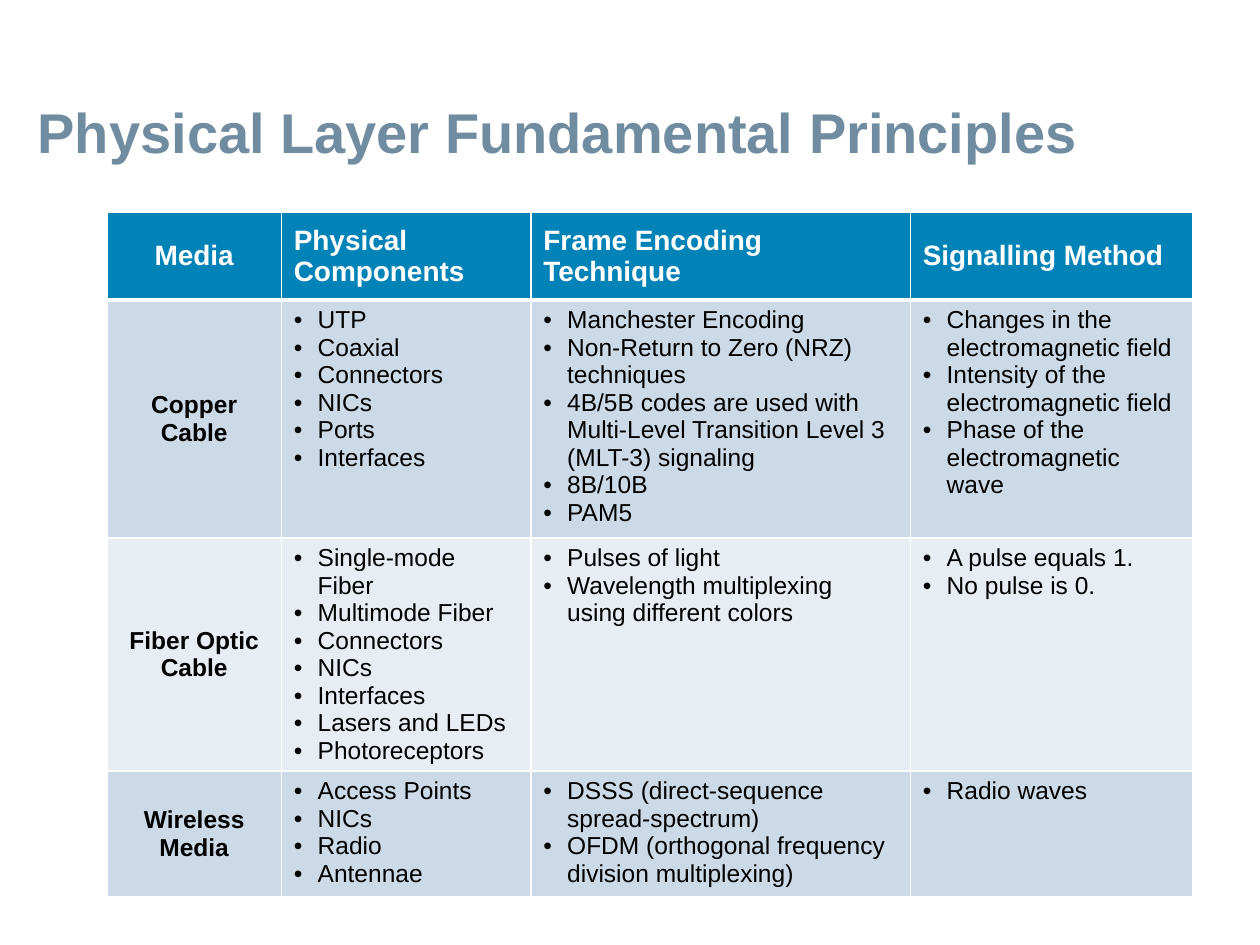
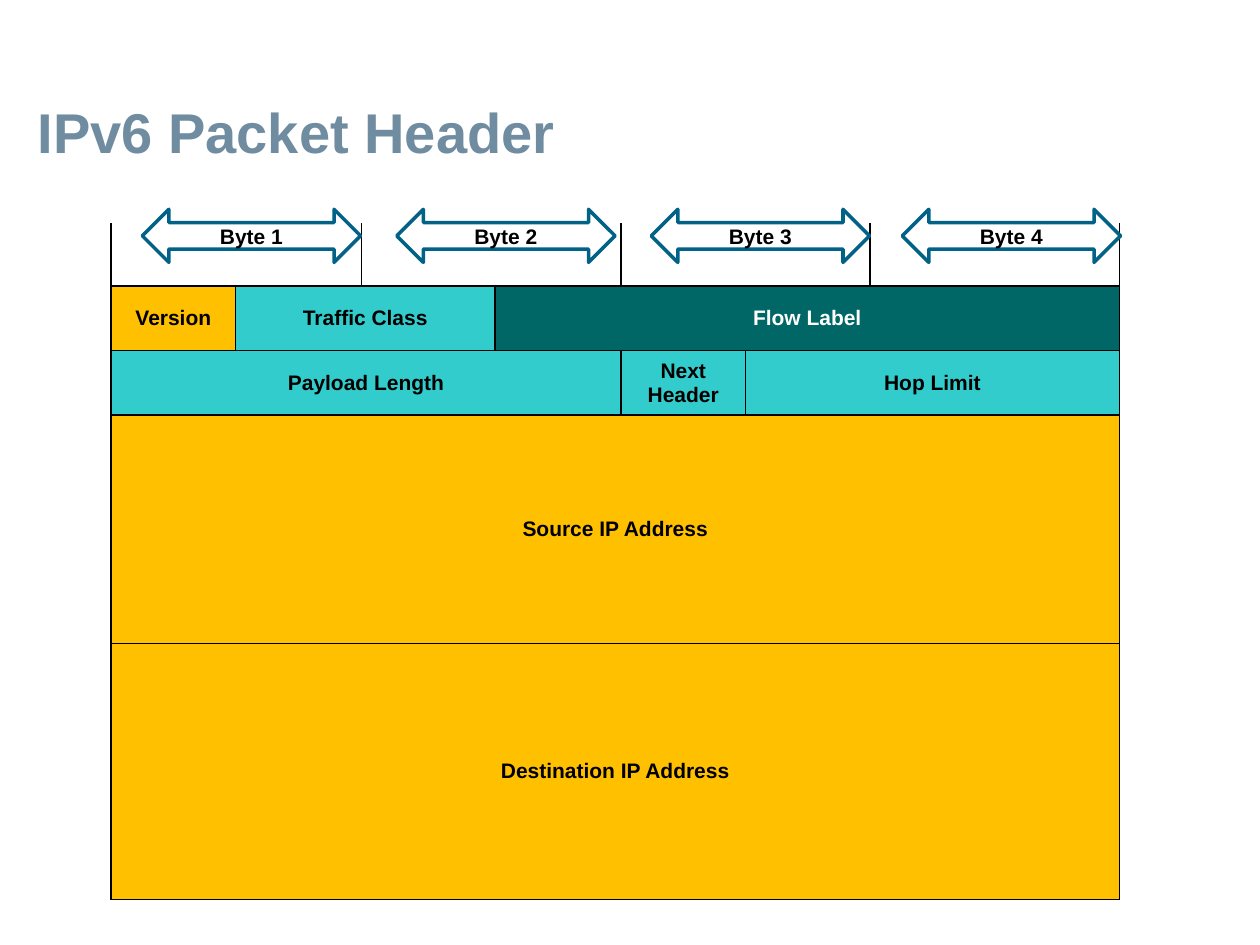
from pptx import Presentation
from pptx import util as u
from pptx.dml import color as dml
from pptx.enum import shapes, text
from pptx.oxml import parse_xml
from pptx.oxml import ns

FONT = "Arial"
HUES = {
    "title": "708CA1", "head": "0183B7", "dark": "CCD9E6", "light": "E7EDF3",
    "white": "FFFFFF", "black": "000000", "gold": "FFC000", "aqua": "33CCCC",
    "teal": "006666", "edge": "016187",
}

MEDIA = {
    "title": "Physical Layer Fundamental Principles",
    "at": (2.16, 4.27),
    "cols": [3.51, 5.03, 7.65, 5.69],
    "rows": [1.78, 4.8, 4.24, 2.54],
    "heads": ["Media", "Physical Components", "Frame Encoding Technique", "Signalling Method"],
    "body": [
        ("Copper Cable", [
            ["UTP", "Coaxial", "Connectors", "NICs", "Ports", "Interfaces"],
            ["Manchester Encoding", "Non-Return to Zero (NRZ) techniques",
             "4B/5B codes are used with Multi-Level Transition Level 3 (MLT-3) signaling",
             "8B/10B", "PAM5"],
            ["Changes in the electromagnetic field", "Intensity of the electromagnetic field",
             "Phase of the electromagnetic wave"],
        ]),
        ("Fiber Optic Cable", [
            ["Single-mode Fiber", "Multimode Fiber", "Connectors", "NICs", "Interfaces",
             "Lasers and LEDs", "Photoreceptors"],
            ["Pulses of light", "Wavelength multiplexing using different colors"],
            ["A pulse equals 1.", "No pulse is 0."],
        ]),
        ("Wireless Media", [
            ["Access Points", "NICs", "Radio", "Antennae"],
            ["DSSS (direct-sequence spread-spectrum)",
             "OFDM (orthogonal frequency division multiplexing)"],
            ["Radio waves"],
        ]),
    ],
}

PACKET = {
    "title": "IPv6 Packet Header",
    "at": (2.24, 4.5),
    "cols": [2.51, 2.54, 2.69, 2.54, 2.51, 2.51, 5.03],
    "rows": [1.27, 1.3, 1.3, 4.6, 5.16],
    "fields": [
        [("", 2, None), ("", 2, None), ("", 2, None), ("", 1, None)],
        [("Version", 1, "gold"), ("Traffic Class", 2, "aqua"), ("Flow Label", 4, "teal")],
        [("Payload Length", 4, "aqua"), ("Next Header", 1, "aqua"), ("Hop Limit", 2, "aqua")],
        [("Source IP Address", 7, "gold")],
        [("Destination IP Address", 7, "gold")],
    ],
    "bytes": [("Byte 1", 2.87), ("Byte 2", 8), ("Byte 3", 13.13), ("Byte 4", 18.19)],
}


def tint(key):
    return dml.RGBColor.from_string(HUES[key])


def write(para, words, size, hue, bold=True, align=None):
    para.alignment = align
    run = para.add_run()
    run.text = words
    run.font.name = FONT
    run.font.size = u.Pt(size)
    run.font.bold = bold
    run.font.color.rgb = tint(hue)


def center(para, words, size, hue):
    write(para, words, size, hue, align=text.PP_ALIGN.CENTER)


def bullet(para):
    props = para._p.get_or_add_pPr()
    gap = u.Cm(0.48)
    props.set("marL", str(gap))
    props.set("indent", str(-gap))
    props.append(parse_xml(f'<a:buFont {ns.nsdecls("a")} typeface="{FONT}"/>'))
    props.append(parse_xml(f'<a:buChar {ns.nsdecls("a")} char="•"/>'))


def border(cell, hue, top=1, base=1):
    props = cell._tc.get_or_add_tcPr()
    for spot, (side, wide) in enumerate(zip("LRTB", (1, 1, top, base))):
        ink = f'<a:solidFill><a:srgbClr val="{HUES[hue]}"/></a:solidFill>' if wide else "<a:noFill/>"
        props.insert(spot, parse_xml(
            f'<a:ln{side} {ns.nsdecls("a")} w="{u.Pt(wide)}">{ink}</a:ln{side}>'))


def paint(cell, key):
    if key:
        cell.fill.solid()
        cell.fill.fore_color.rgb = tint(key)
    else:
        cell.fill.background()


def start(deck, data):
    slide = deck.slides.add_slide(deck.slide_layouts[5])
    title = slide.shapes.title
    title.left, title.top, title.width, title.height = map(u.Cm, (0.53, 1.09, 24.36, 2.34))
    frame = title.text_frame
    frame.word_wrap = True
    frame.auto_size = text.MSO_AUTO_SIZE.NONE
    frame.vertical_anchor = text.MSO_ANCHOR.BOTTOM
    frame.margin_left = frame.margin_right = u.Cm(0.23)
    frame.margin_top = frame.margin_bottom = u.Cm(0.1)
    para = frame.paragraphs[0]
    para.line_spacing = 0.9
    write(para, data["title"], 32, "title", align=text.PP_ALIGN.LEFT)
    return slide


def grid(slide, data):
    cols, rows = data["cols"], data["rows"]
    x, y = data["at"]
    table = slide.shapes.add_table(
        len(rows), len(cols), u.Cm(x), u.Cm(y), u.Cm(sum(cols)), u.Cm(sum(rows))).table
    for col, wide in zip(table.columns, cols):
        col.width = u.Cm(wide)
    for row, high in zip(table.rows, rows):
        row.height = u.Cm(high)
    return table


def media(deck):
    table = grid(start(deck, MEDIA), MEDIA)
    for c, head in enumerate(MEDIA["heads"]):
        cell = table.cell(0, c)
        cell.vertical_anchor = text.MSO_ANCHOR.MIDDLE
        align = text.PP_ALIGN.LEFT if c else text.PP_ALIGN.CENTER
        write(cell.text_frame.paragraphs[0], head, 16, "white", align=align)
        paint(cell, "head")
        border(cell, "white", base=3)
    for r, (name, lists) in enumerate(MEDIA["body"], 1):
        first = table.cell(r, 0)
        first.vertical_anchor = text.MSO_ANCHOR.MIDDLE
        center(first.text_frame.paragraphs[0], name, 14, "black")
        for c, items in enumerate(lists, 1):
            frame = table.cell(r, c).text_frame
            for i, item in enumerate(items):
                para = frame.add_paragraph() if i else frame.paragraphs[0]
                bullet(para)
                write(para, item, 14, "black", bold=False)
        for cell in table.rows[r].cells:
            paint(cell, "dark" if r % 2 else "light")
            border(cell, "white", top=3 if r == 1 else 1)


def packet(deck):
    slide = start(deck, PACKET)
    table = grid(slide, PACKET)
    for r, fields in enumerate(PACKET["fields"]):
        c = 0
        for name, span, key in fields:
            cell = table.cell(r, c)
            if span > 1:
                cell.merge(table.cell(r, c + span - 1))
            cell.vertical_anchor = text.MSO_ANCHOR.MIDDLE
            if name:
                center(cell.text_frame.paragraphs[0], name, 12,
                       "white" if key == "teal" else "black")
            for part in range(c, c + span):
                paint(table.cell(r, part), key)
                border(table.cell(r, part), "black", top=1 if r else 0)
            c += span
    for name, x in PACKET["bytes"]:
        arrow = slide.shapes.add_shape(
            shapes.MSO_SHAPE.LEFT_RIGHT_ARROW, u.Cm(x), u.Cm(4.22), u.Cm(4.4), u.Cm(1.07))
        arrow.shadow.inherit = False
        arrow.fill.background()
        arrow.line.color.rgb = tint("edge")
        arrow.line.width = u.Pt(2)
        arrow.text_frame.vertical_anchor = text.MSO_ANCHOR.MIDDLE
        center(arrow.text_frame.paragraphs[0], name, 12, "black")


def main():
    deck = Presentation()
    deck.slide_width, deck.slide_height = u.Cm(25.4), u.Cm(19.05)
    media(deck)
    packet(deck)
    deck.save("out.pptx")


if __name__ == "__main__":
    main()
